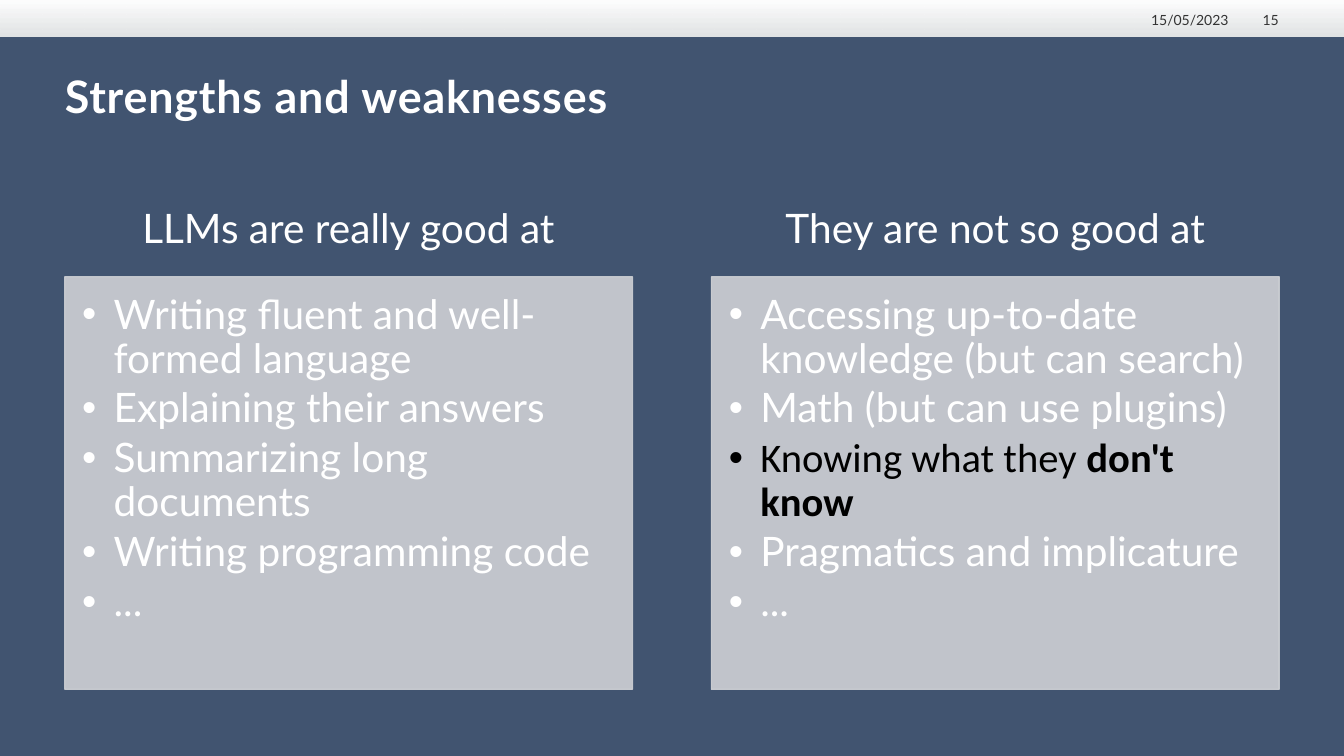
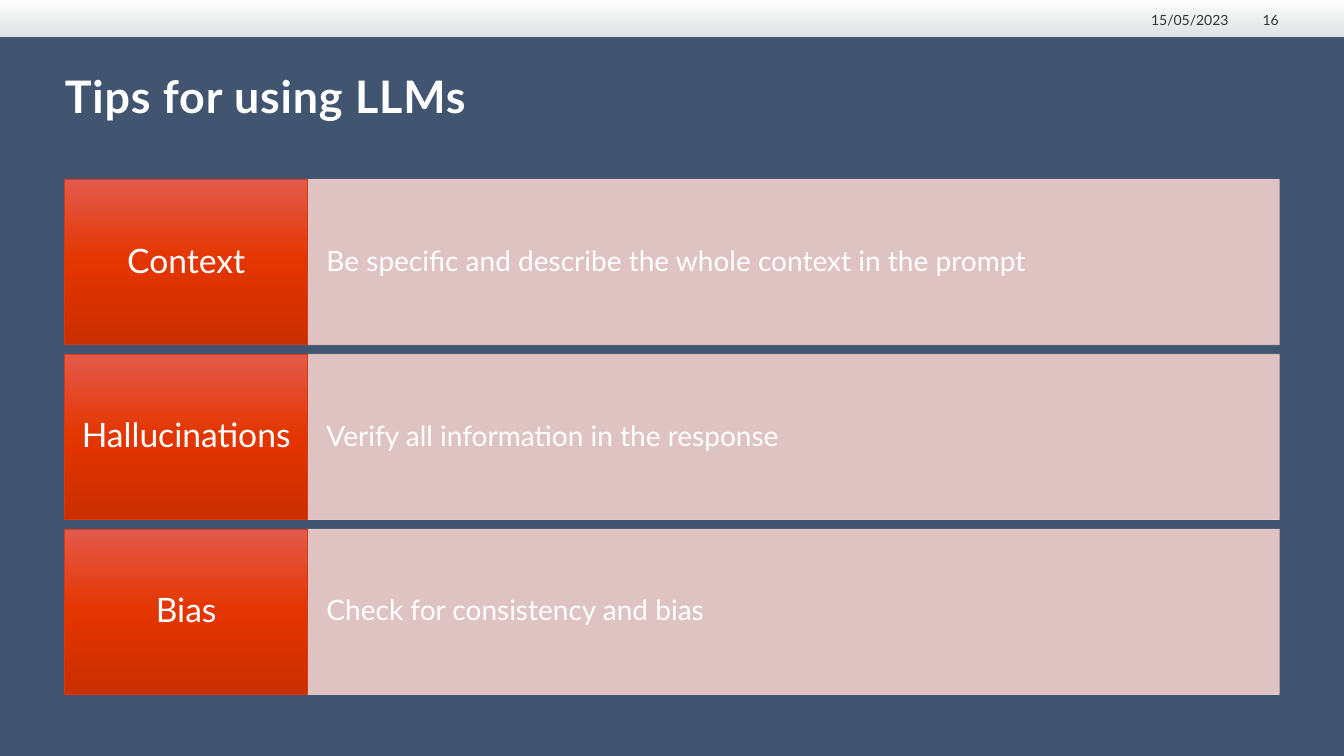
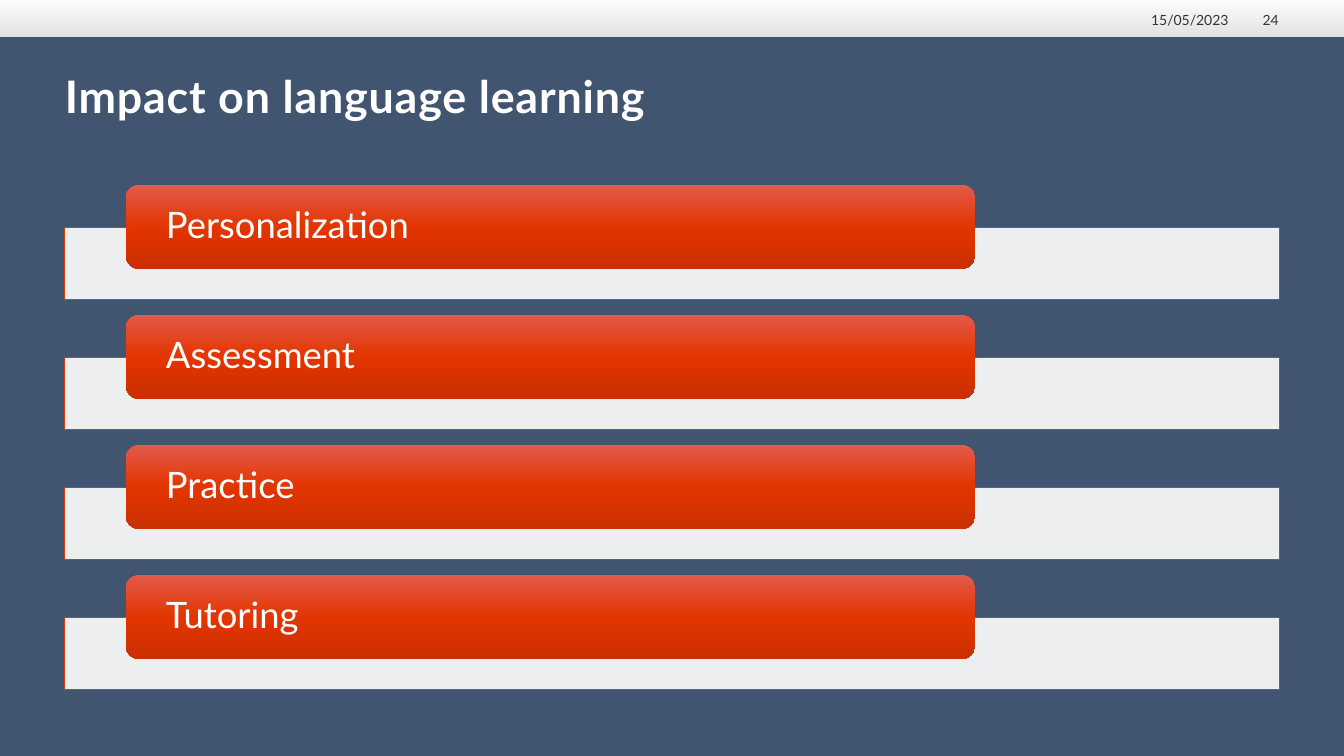
from lxml import etree
from pptx import Presentation
from pptx.dml.color import RGBColor
from pptx.enum.shapes import MSO_SHAPE
from pptx.enum.text import MSO_ANCHOR, MSO_AUTO_SIZE, PP_ALIGN
from pptx.oxml.ns import qn
from pptx.util import Pt

RECT, ROUNDED = MSO_SHAPE.RECTANGLE, MSO_SHAPE.ROUNDED_RECTANGLE
TOP, MIDDLE, BOTTOM = MSO_ANCHOR.TOP, MSO_ANCHOR.MIDDLE, MSO_ANCHOR.BOTTOM
LEFT, CENTER, RIGHT = PP_ALIGN.LEFT, PP_ALIGN.CENTER, PP_ALIGN.RIGHT
NO_AUTOFIT = MSO_AUTO_SIZE.NONE

COMPARISON, TITLE_ONLY = 4, 5
SLIDE_W, SLIDE_H = 960, 540
MARGIN = 46.3
CONTENT_W = SLIDE_W - 2 * MARGIN

FONT = "Lato"
NAVY, WHITE, BLACK, DARK_GREY = "415470", "FFFFFF", "000000", "333333"
PALE_GREY, PINK, RED = "CFD1D5", "F1CECC", "DA3A09"
BAND_STOPS = [(0, WHITE, 100), (100, "EEEFEE", 93)]
RED_STOPS = [(0, "E35A4B", 100), (50, "E33500", 100), (100, "CA2F00", 100)]

DATE = "15/05/2023"
COMPARISONS = [
    ("LLMs are really good at", [
        [("Writing fluent and well-formed language", {})],
        [("Explaining their answers", {})],
        [("Summarizing long documents", {})],
        [("Writing programming code", {})],
        [("...", {})],
    ]),
    ("They are not so good at", [
        [("Accessing up-to-date knowledge (but can search)", {})],
        [("Math (but can use plugins)", {})],
        [("Knowing what they ", {"font": "Calibri", "color": BLACK}),
         ("don't know", {"font": "Calibri", "color": BLACK, "bold": True})],
        [("Pragmatics and implicature", {})],
        [("...", {})],
    ]),
]
TIPS = [
    ("Context", "Be specific and describe the whole context in the prompt"),
    ("Hallucinations", "Verify all information in the response"),
    ("Bias", "Check for consistency and bias"),
]
IMPACTS = ["Personalization", "Assessment", "Practice", "Tutoring"]


def rgb(color):
    return RGBColor.from_string(color)


def set_alpha(fill_element, alpha):
    if alpha < 100:
        color = fill_element.find(qn("a:srgbClr"))
        etree.SubElement(color, qn("a:alpha"), val=str(alpha * 1000))


def paint(shape, color, alpha=100):
    shape.fill.solid()
    shape.fill.fore_color.rgb = rgb(color)
    set_alpha(shape.element.spPr.find(qn("a:solidFill")), alpha)


def outline(shape, color, width, alpha=100):
    shape.line.color.rgb = rgb(color)
    shape.line.width = Pt(width)
    set_alpha(shape.element.spPr.find(qn("a:ln")).find(qn("a:solidFill")), alpha)


def paint_gradient(shape, stops):
    shape.fill.gradient()
    shape.fill.gradient_angle = 270
    stop_list = shape.element.spPr.find(qn("a:gradFill")).find(qn("a:gsLst"))
    for stop in list(stop_list):
        stop_list.remove(stop)
    for position, color, alpha in stops:
        stop = etree.SubElement(stop_list, qn("a:gs"), pos=str(position * 1000))
        etree.SubElement(stop, qn("a:srgbClr"), val=color)
        set_alpha(stop, alpha)


def place(shape, left, top, width, height):
    shape.left, shape.top = Pt(left), Pt(top)
    shape.width, shape.height = Pt(width), Pt(height)


def add_block(slide, kind, left, top, width, height):
    block = slide.shapes.add_shape(kind, Pt(left), Pt(top), Pt(width), Pt(height))
    block.shadow.inherit = False
    block.line.fill.background()
    return block


def set_frame(shape, anchor, insets):
    frame = shape.text_frame
    frame.auto_size = NO_AUTOFIT
    frame.word_wrap = True
    frame.vertical_anchor = anchor
    (frame.margin_left, frame.margin_top,
     frame.margin_right, frame.margin_bottom) = [Pt(inset) for inset in insets]
    return frame


def add_run(paragraph, text, size, color=WHITE, font=FONT, bold=False):
    run = paragraph.add_run()
    run.text = text
    run.font.name = font
    run.font.size = Pt(size)
    run.font.bold = bold
    run.font.color.rgb = rgb(color)
    return run


def write(shape, text, size, align=LEFT, anchor=MIDDLE, insets=(0, 0, 0, 0),
          spacing=0.9, **style):
    paragraph = set_frame(shape, anchor, insets).paragraphs[0]
    paragraph.alignment = align
    paragraph.line_spacing = spacing
    paragraph.space_before = Pt(0)
    return add_run(paragraph, text, size, **style)


def write_bullets(shape, items, size, insets):
    frame = set_frame(shape, TOP, insets)
    for index, runs in enumerate(items):
        paragraph = frame.add_paragraph() if index else frame.paragraphs[0]
        properties = paragraph._p.get_or_add_pPr()
        properties.set("marL", str(Pt(22.5)))
        properties.set("indent", str(-Pt(22.5)))
        etree.SubElement(properties, qn("a:buChar"), char="•")
        paragraph.line_spacing = 0.9
        paragraph.space_before = Pt(0)
        paragraph.space_after = Pt(size * 0.15)
        for text, style in runs:
            add_run(paragraph, text, size, **style)


def add_header_text(slide, text, left, width):
    box = slide.shapes.add_textbox(Pt(left), Pt(6.5), Pt(width), Pt(13.7))
    write(box, text, 10, RIGHT, BOTTOM, spacing=1, color=DARK_GREY)


def add_slide(prs, layout, title, number):
    slide = prs.slides.add_slide(prs.slide_layouts[layout])
    place(slide.shapes.title, MARGIN, 49, CONTENT_W, 67.7)
    run = write(slide.shapes.title, title, 32, anchor=TOP, spacing=1, bold=True)
    run.font._element.set("spc", "60")
    add_header_text(slide, DATE, 813.5, 64)
    add_header_text(slide, str(number), 883.5, 30)
    return slide


def style_master(master, slide):
    master.background.fill.solid()
    master.background.fill.fore_color.rgb = rgb(NAVY)
    band = add_block(slide, RECT, 0, 0, SLIDE_W, 26.2)
    paint_gradient(band, BAND_STOPS)
    master.shapes.element.insert(2, band.element)


def build_comparison(slide):
    column_w = 405.5
    column_step = CONTENT_W - column_w
    for column, (heading, items) in enumerate(COMPARISONS):
        left = MARGIN + column * column_step
        head = slide.placeholders[1 + 2 * column]
        place(head, left, 132, column_w, 65.7)
        paint(head, NAVY)
        outline(head, NAVY, 1)
        write(head, heading, 29, CENTER, insets=(16.5, 9.4, 16.5, 9.4))
        panel = slide.placeholders[2 + 2 * column]
        place(panel, left, 197.7, column_w, 294.7)
        paint(panel, PALE_GREY, 90)
        outline(panel, PALE_GREY, 1, 90)
        write_bullets(panel, items, 29, (12.4, 12.4, 16.5, 18.6))


def build_tips(slide):
    label_w, row_h, row_step = 173.4, 118.1, 124.9
    for row, (topic, advice) in enumerate(TIPS):
        top = 128.2 + row * row_step
        detail = add_block(slide, RECT, MARGIN + label_w, top,
                           CONTENT_W - label_w, row_h)
        paint(detail, PINK, 90)
        outline(detail, PINK, 0.5, 90)
        write(detail, advice, 20, insets=(13.5, 30, 13.5, 30))
        label = add_block(slide, RECT, MARGIN, top, label_w, row_h)
        paint_gradient(label, RED_STOPS)
        outline(label, RED, 0.5)
        write(label, topic, 24, CENTER, insets=(9.2, 11.7, 9.2, 11.7))


def build_impacts(slide):
    row_step = 92.9
    for row, impact in enumerate(IMPACTS):
        top = 131.9 + row * row_step
        bar = add_block(slide, RECT, MARGIN, top + 30.6, CONTENT_W, 51)
        paint(bar, WHITE, 90)
        outline(bar, RED, 0.5)
        pill = add_block(slide, ROUNDED, 89.7, top, 607, 60.2)
        paint_gradient(pill, RED_STOPS)
        write(pill, impact, 26, insets=(25.9, 0, 25.9, 0))


def main():
    prs = Presentation()
    prs.slide_width, prs.slide_height = Pt(SLIDE_W), Pt(SLIDE_H)
    strengths = add_slide(prs, COMPARISON, "Strengths and weaknesses", 15)
    style_master(prs.slide_master, strengths)
    build_comparison(strengths)
    build_tips(add_slide(prs, TITLE_ONLY, "Tips for using LLMs", 16))
    build_impacts(add_slide(prs, TITLE_ONLY, "Impact on language learning", 24))
    prs.save("out.pptx")


if __name__ == "__main__":
    main()
